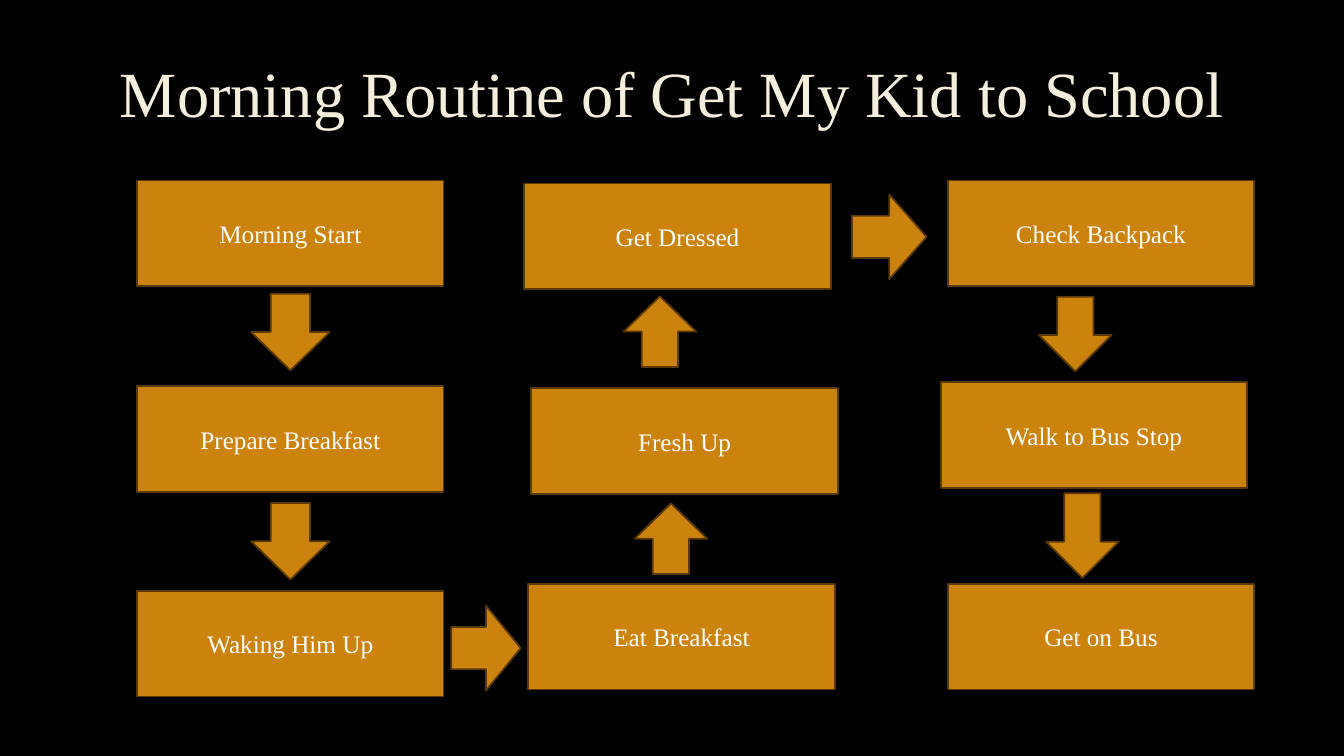
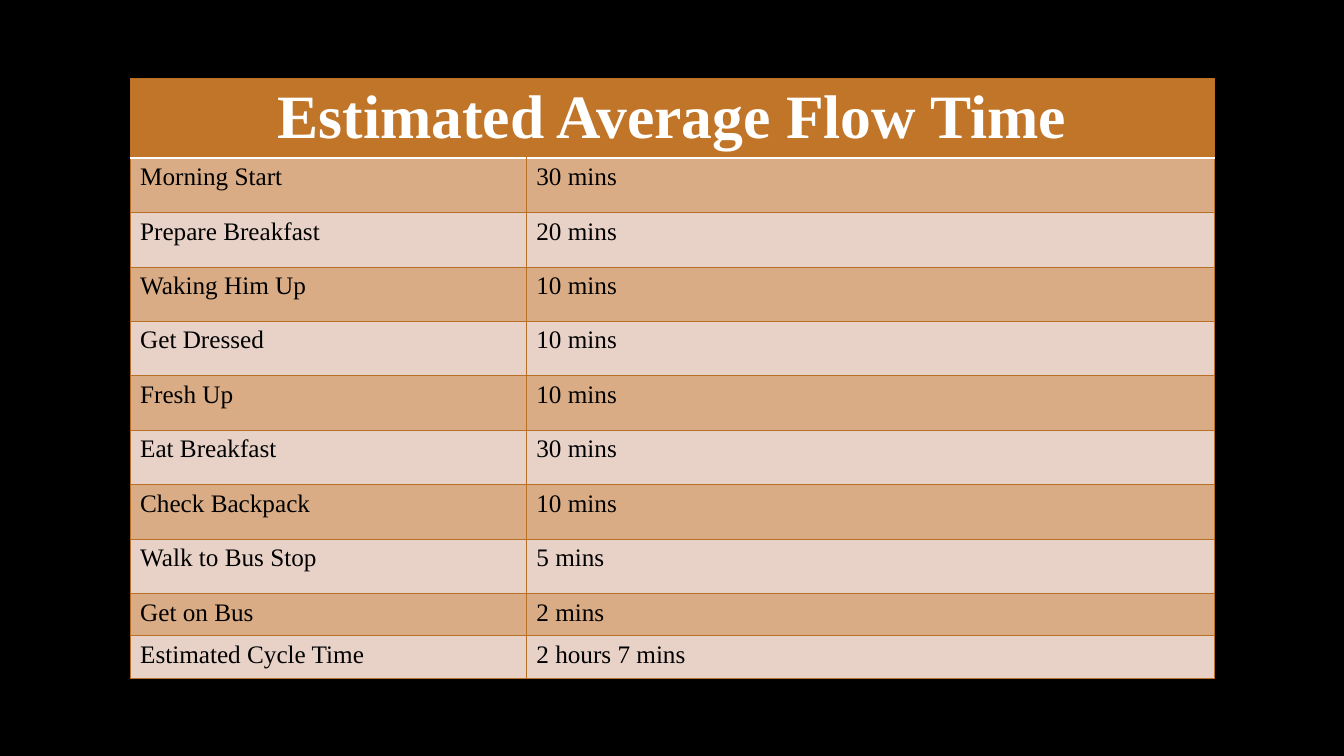
from lxml.etree import SubElement
from pptx import Presentation
from pptx.dml.color import RGBColor
from pptx.enum.shapes import MSO_SHAPE
from pptx.enum.text import MSO_ANCHOR, PP_ALIGN
from pptx.oxml.ns import qn
from pptx.util import Inches, Pt

COLORS = {
    "background": "000000", "title": "F4EEDC", "box": "CC830E", "outline": "593906",
    "white": "FFFFFF", "black": "000000", "header": "C17529", "border": "B87027",
    "band_dark": "D9AC86", "band_light": "E8D2C8",
}
FONT = "Times New Roman"
TITLE_TEXT = {"size": 46, "color": "title"}
BOX_TEXT = {"size": 18, "color": "white"}
HEADER_TEXT = {"size": 44, "color": "white", "bold": True}
BODY_TEXT = {"size": 18, "color": "black", "bold": False}

TITLE = "Morning Routine of Get My Kid to School"
TITLE_AREA = (1.06, 0.27, 11.2, 1.38)
BOX_SIZE = (3.04, 1.05)
STEPS = [
    ("Morning Start", 1.36, 1.79),
    ("Prepare Breakfast", 1.36, 3.83),
    ("Waking Him Up", 1.36, 5.86),
    ("Eat Breakfast", 5.24, 5.79),
    ("Fresh Up", 5.27, 3.85),
    ("Get Dressed", 5.2, 1.82),
    ("Check Backpack", 9.4, 1.79),
    ("Walk to Bus Stop", 9.33, 3.79),
    ("Get on Bus", 9.4, 5.79),
]
DOWN, UP, RIGHT = MSO_SHAPE.DOWN_ARROW, MSO_SHAPE.UP_ARROW, MSO_SHAPE.RIGHT_ARROW
ARROWS = [
    (DOWN, (0.78, 0.76), (0, -0.04)),
    (DOWN, (0.78, 0.76), (0, 0)),
    (RIGHT, (0.69, 0.84), (0, 0.08)),
    (UP, (0.72, 0.7), (-0.12, 0)),
    (UP, (0.72, 0.7), (-0.21, -0.07)),
    (RIGHT, (0.74, 0.84), (0, 0.02)),
    (DOWN, (0.72, 0.74), (-0.22, 0)),
    (DOWN, (0.72, 0.84), (-0.15, 0)),
]

TABLE_TITLE = "Estimated Average Flow Time"
TIMES = [
    ("Morning Start", "30 mins"),
    ("Prepare Breakfast", "20 mins"),
    ("Waking Him Up", "10 mins"),
    ("Get Dressed", "10 mins"),
    ("Fresh Up", "10 mins"),
    ("Eat Breakfast", "30 mins"),
    ("Check Backpack", "10 mins"),
    ("Walk to Bus Stop", "5 mins"),
    ("Get on Bus", "2 mins"),
    ("Estimated Cycle Time", "2 hours 7 mins"),
]
TABLE_CORNER = (1.29, 0.78)
COLUMN_WIDTHS = [3.93, 6.83]
ROW_HEIGHTS = [0.79] + [0.54] * 8 + [0.42] * 2


def rgb(name):
    return RGBColor.from_string(COLORS[name])


def write(frame, text, style, align):
    paragraph = frame.paragraphs[0]
    paragraph.alignment = align
    run = paragraph.add_run()
    run.text = text
    run.font.color.rgb = rgb(style["color"])
    values = {"name": FONT, "size": Pt(style["size"]), "bold": style.get("bold", False)}
    for name, value in values.items():
        setattr(run.font, name, value)


def add_block(slide, kind, left, top, size):
    shape = slide.shapes.add_shape(kind, *map(Inches, (left, top, *size)))
    shape.shadow.inherit = False
    shape.fill.solid()
    shape.fill.fore_color.rgb = rgb("box")
    shape.line.color.rgb = rgb("outline")
    shape.line.width = Pt(1.25)
    return shape


def add_flow(presentation):
    slide = presentation.slides.add_slide(presentation.slide_layouts[5])
    title = slide.shapes.title
    for name, value in zip(("left", "top", "width", "height"), TITLE_AREA):
        setattr(title, name, Inches(value))
    title.text_frame.vertical_anchor = MSO_ANCHOR.MIDDLE
    write(title.text_frame, TITLE, TITLE_TEXT, PP_ALIGN.CENTER)
    title.text_frame.paragraphs[0].line_spacing = 0.9

    for text, left, top in STEPS:
        box = add_block(slide, MSO_SHAPE.RECTANGLE, left, top, BOX_SIZE)
        box.text_frame.vertical_anchor = MSO_ANCHOR.MIDDLE
        write(box.text_frame, text, BOX_TEXT, PP_ALIGN.CENTER)

    for before, after, (kind, size, shift) in zip(STEPS, STEPS[1:], ARROWS):
        left, top = [
            (start + end + box_length - length) / 2 + offset
            for start, end, box_length, length, offset
            in zip(before[1:], after[1:], BOX_SIZE, size, shift)
        ]
        add_block(slide, kind, left, top, size)


def add_borders(cell, edges):
    properties = cell._tc.get_or_add_tcPr()
    for edge in ("L", "R", "T", "B"):
        color, width = edges.get(edge, ("border", 0.75))
        line = SubElement(properties, qn(f"a:ln{edge}"), w=str(Pt(width)))
        fill = SubElement(line, qn("a:solidFill"))
        SubElement(fill, qn("a:srgbClr"), val=COLORS[color])


def format_cell(cell, fill, edges):
    add_borders(cell, edges)
    cell.fill.solid()
    cell.fill.fore_color.rgb = rgb(fill)


def add_times(presentation):
    slide = presentation.slides.add_slide(presentation.slide_layouts[6])
    area = (*TABLE_CORNER, sum(COLUMN_WIDTHS), sum(ROW_HEIGHTS))
    table = slide.shapes.add_table(
        len(ROW_HEIGHTS), len(COLUMN_WIDTHS), *map(Inches, area)
    ).table
    for column, width in zip(table.columns, COLUMN_WIDTHS):
        column.width = Inches(width)
    for row, height in zip(table.rows, ROW_HEIGHTS):
        row.height = Inches(height)

    divider = ("white", 1.25)
    header = table.cell(0, 0)
    header.merge(table.cell(0, 1))
    for cell in table.rows[0].cells:
        format_cell(cell, "header", {"B": divider})
    write(header.text_frame, TABLE_TITLE, HEADER_TEXT, PP_ALIGN.CENTER)

    for row, texts in enumerate(TIMES, start=1):
        fill = "band_dark" if row % 2 else "band_light"
        edges = {"T": divider} if row == 1 else {}
        for column, text in enumerate(texts):
            cell = table.cell(row, column)
            format_cell(cell, fill, edges)
            write(cell.text_frame, text, BODY_TEXT, PP_ALIGN.LEFT)


def main():
    """Build the morning routine flow and its table of times."""
    presentation = Presentation()
    presentation.slide_width = Inches(13.33)
    presentation.slide_height = Inches(7.5)
    background = presentation.slide_master.background.fill
    background.solid()
    background.fore_color.rgb = rgb("background")
    add_flow(presentation)
    add_times(presentation)
    presentation.save("out.pptx")


if __name__ == "__main__":
    main()
